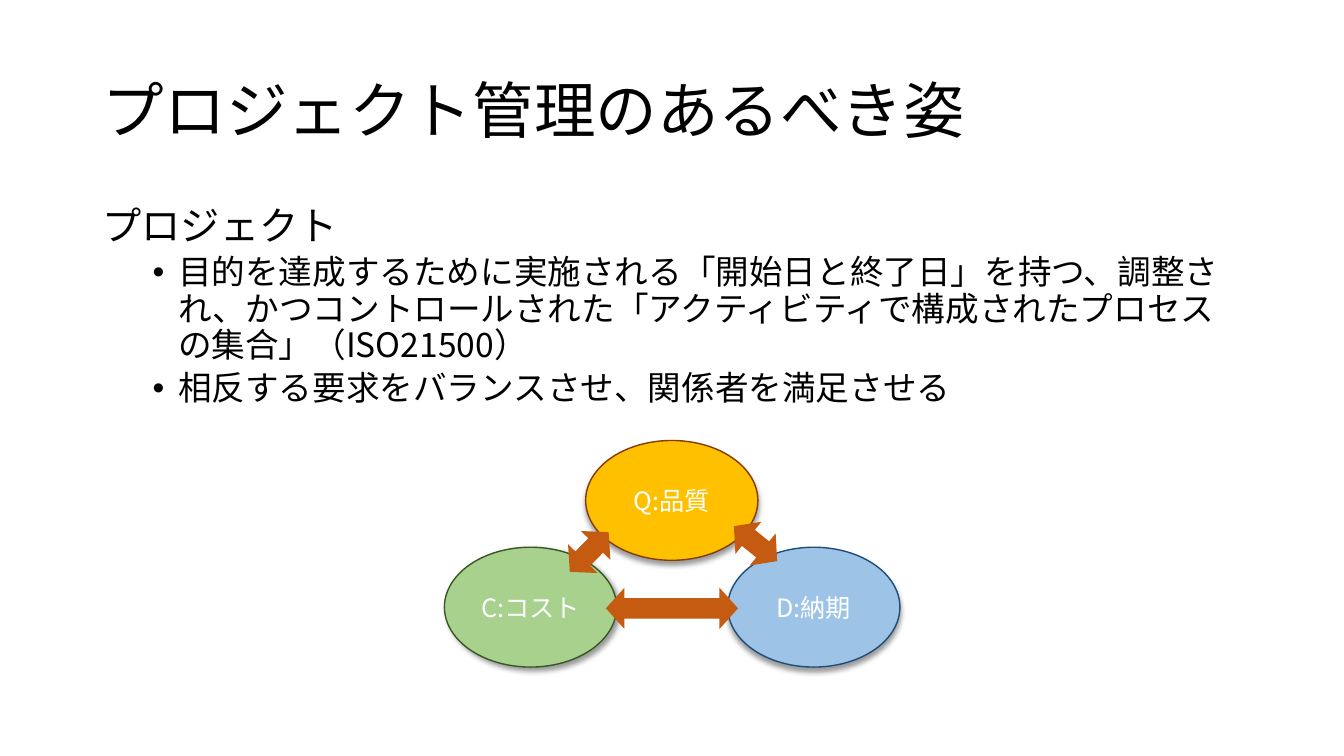
from lxml import etree
from pptx import Presentation
from pptx.dml.color import RGBColor
from pptx.enum.shapes import MSO_SHAPE
from pptx.enum.text import MSO_ANCHOR, MSO_AUTO_SIZE, PP_ALIGN
from pptx.oxml.ns import qn
from pptx.util import Cm, Pt

ELLIPSE = MSO_SHAPE.OVAL
DOUBLE_ARROW = MSO_SHAPE.LEFT_RIGHT_ARROW
MIDDLE = MSO_ANCHOR.MIDDLE
TOP = MSO_ANCHOR.TOP
NO_AUTOFIT = MSO_AUTO_SIZE.NONE
LEFT = PP_ALIGN.LEFT
CENTER = PP_ALIGN.CENTER

FONT = "Noto Sans CJK JP"
TITLE_SIZE, HEADING_SIZE, BULLET_SIZE, LABEL_SIZE = 44, 28, 24, 18
COLORS = {
    "text": "000000",
    "label": "FFFFFF",
    "quality": "FFC000",
    "quality_line": "843C0B",
    "cost": "A9D18E",
    "cost_line": "385723",
    "delivery": "9DC3E6",
    "delivery_line": "1F4E79",
    "arrow": "C55A11",
    "shadow": "000000",
}


def add_run(paragraph, text, size, color):
    """Add a run with the slide font for Latin and Japanese characters."""
    run = paragraph.add_run()
    run.text = text
    run.font.size = Pt(size)
    run.font.name = FONT
    run.font.color.rgb = RGBColor.from_string(COLORS[color])
    properties = run.font._element
    etree.SubElement(properties, qn("a:ea"), typeface=FONT)


def add_outer_shadow(shape, degrees):
    effects = shape._element.spPr.find(qn("a:effectLst"))
    shadow = etree.SubElement(
        effects, qn("a:outerShdw"), blurRad=str(Pt(4)), dist=str(Pt(3)),
        dir=str(degrees * 60000), algn="t", rotWithShape="0")
    color = etree.SubElement(shadow, qn("a:srgbClr"), val=COLORS["shadow"])
    etree.SubElement(color, qn("a:alpha"), val="40000")


presentation = Presentation()
presentation.slide_width = Cm(33.87)
presentation.slide_height = Cm(19.05)
slide = presentation.slides.add_slide(presentation.slide_layouts[5])

# Title
title = slide.shapes.title
title.left, title.top, title.width, title.height = Cm(2.34), Cm(1.02), Cm(29.21), Cm(3.68)
title.text_frame.auto_size = NO_AUTOFIT
title.text_frame.word_wrap = True
title.text_frame.vertical_anchor = MIDDLE
paragraph = title.text_frame.paragraphs[0]
paragraph.alignment = LEFT
paragraph.line_spacing = 0.9
add_run(paragraph, "プロジェクト管理のあるべき姿", TITLE_SIZE, "text")

# Definition of a project
body = slide.shapes.add_textbox(Cm(2.34), Cm(5.08), Cm(29.21), Cm(12.09))
body.text_frame.word_wrap = True
body.text_frame.vertical_anchor = TOP
heading = body.text_frame.paragraphs[0]
heading.line_spacing = 0.9
heading.space_before = Pt(10)
add_run(heading, "プロジェクト", HEADING_SIZE, "text")

bullets = [
    "目的を達成するために実施される「開始日と終了日」を持つ、調整され、かつコントロールされた"
    "「アクティビティで構成されたプロセスの集合」（ISO21500）",
    "相反する要求をバランスさせ、関係者を満足させる",
]
for text in bullets:
    paragraph = body.text_frame.add_paragraph()
    paragraph.level = 1
    paragraph.line_spacing = 0.9
    paragraph.space_before = Pt(5)
    properties = paragraph._element.get_or_add_pPr()
    properties.set("marL", str(Cm(1.9)))
    properties.set("indent", str(Cm(-0.64)))
    etree.SubElement(properties, qn("a:buFont"), typeface="Arial")
    etree.SubElement(properties, qn("a:buChar"), char="•")
    add_run(paragraph, text, BULLET_SIZE, "text")

# Competing demands: label, colour, left, top, shadow direction
demands = [
    ("Q:品質", "quality", 14.76, 11.1, 90),
    ("C:コスト", "cost", 11.2, 13.79, 45),
    ("D:納期", "delivery", 18.34, 13.79, 90),
]
for label, color, left, top, shadow_direction in demands:
    ellipse = slide.shapes.add_shape(ELLIPSE, Cm(left), Cm(top), Cm(4.34), Cm(3.02))
    ellipse.shadow.inherit = False
    ellipse.fill.solid()
    ellipse.fill.fore_color.rgb = RGBColor.from_string(COLORS[color])
    ellipse.line.color.rgb = RGBColor.from_string(COLORS[color + "_line"])
    ellipse.line.width = Pt(1)
    add_outer_shadow(ellipse, shadow_direction)
    ellipse.text_frame.word_wrap = True
    ellipse.text_frame.vertical_anchor = MIDDLE
    paragraph = ellipse.text_frame.paragraphs[0]
    paragraph.alignment = CENTER
    add_run(paragraph, label, LABEL_SIZE, "label")

# Arrows between the demands: left, top, width, rotation
arrows = [
    (15.27, 14.81, 3.33, 0),
    (18.34, 13.18, 1.4, 38.9),
    (14.15, 13.39, 1.4, 314.3),
]
for left, top, width, rotation in arrows:
    arrow = slide.shapes.add_shape(DOUBLE_ARROW, Cm(left), Cm(top), Cm(width), Cm(1.04))
    arrow.shadow.inherit = False
    arrow.rotation = rotation
    arrow.adjustments[0] = 0.5
    arrow.adjustments[1] = 0.45
    arrow.fill.solid()
    arrow.fill.fore_color.rgb = RGBColor.from_string(COLORS["arrow"])
    arrow.line.fill.background()

presentation.save("out.pptx")
